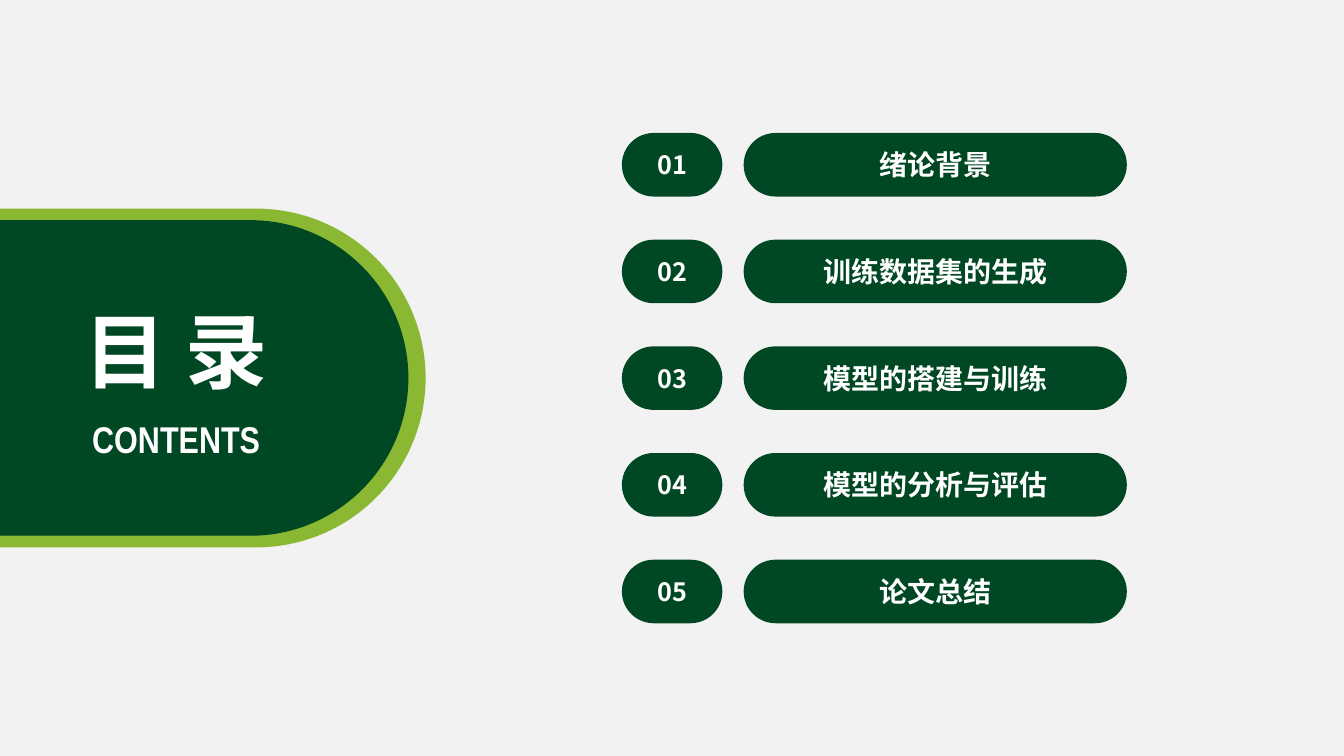
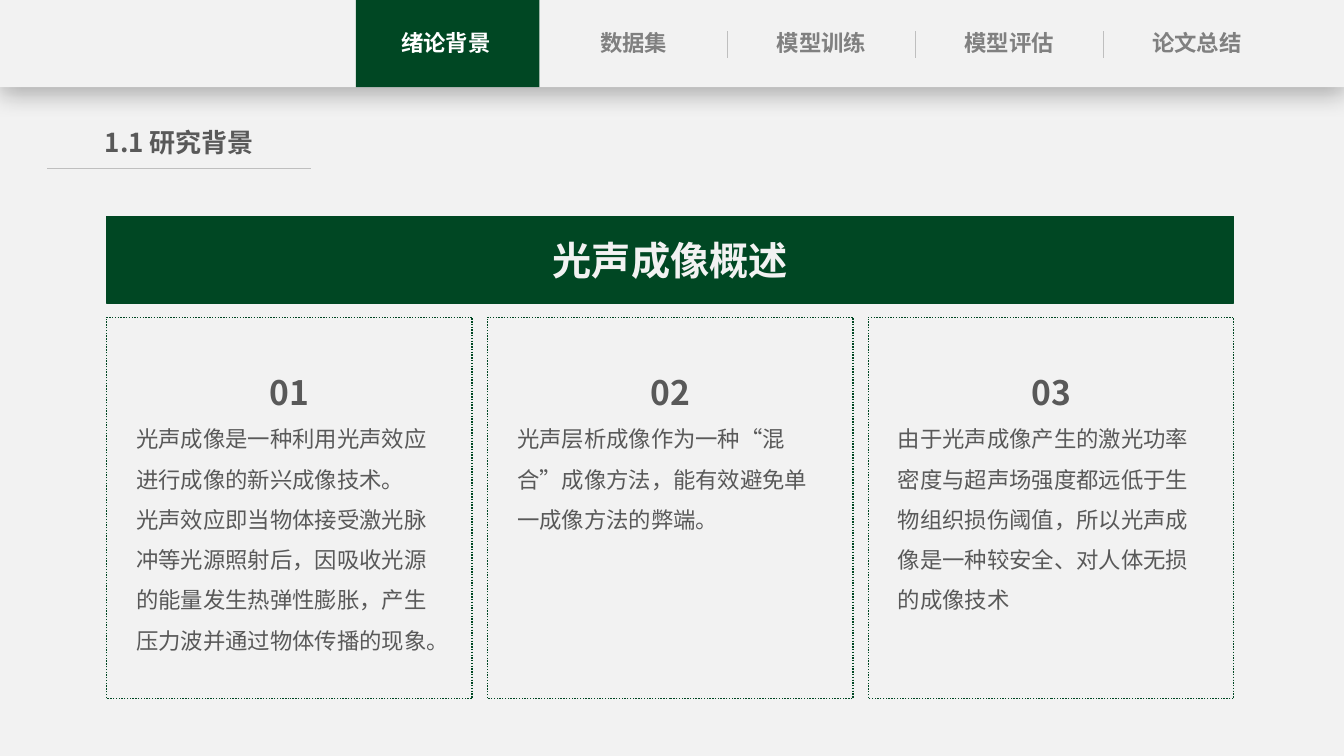
from lxml import etree
from pptx import Presentation
from pptx.dml.color import RGBColor
from pptx.enum import dml, shapes, text
from pptx.oxml import ns
from pptx.util import Pt

GREEN = RGBColor(0x00, 0x47, 0x23)
LIME = RGBColor(0x8A, 0xB8, 0x33)
PAPER = RGBColor(0xF2, 0xF2, 0xF2)
WHITE = RGBColor(0xFF, 0xFF, 0xFF)
RULE = RGBColor(0xBF, 0xBF, 0xBF)
MUTED = RGBColor(0x80, 0x80, 0x80)
INK = RGBColor(0x59, 0x59, 0x59)

CJK = "Noto Sans CJK SC"
LATIN = "Arial Narrow"
WIDTH, HEIGHT = 960, 540

CENTER, LEFT = text.PP_ALIGN.CENTER, text.PP_ALIGN.LEFT
RECT = shapes.MSO_SHAPE.RECTANGLE
PILL = shapes.MSO_SHAPE.ROUNDED_RECTANGLE

CONTENTS = ["绪论背景", "训练数据集的生成", "模型的搭建与训练", "模型的分析与评估", "论文总结"]
TABS = ["绪论背景", "数据集", "模型训练", "模型评估", "论文总结"]
CARDS = [
    ["光声成像是一种利用光声效应进行成像的新兴成像技术。",
     "光声效应即当物体接受激光脉冲等光源照射后，因吸收光源的能量发生热弹性膨胀，产生压力波并通过物体传播的现象。"],
    ["光声层析成像作为一种“混合”成像方法，能有效避免单一成像方法的弊端。"],
    ["由于光声成像产生的激光功率密度与超声场强度都远低于生物组织损伤阈值，所以光声成像是一种较安全、对人体无损的成像技术"],
]


def write(paragraph, words, size, color, bold=True, align=CENTER, font=CJK):
    paragraph.alignment = align
    run = paragraph.add_run()
    run.text = words
    run.font.size = Pt(size)
    run.font.bold = bold
    run.font.name = font
    run.font.color.rgb = color
    east_asian = etree.SubElement(run.font._element, ns.qn("a:ea"))
    east_asian.set("typeface", font)


def add_block(slide, box, fill=None, preset=RECT, outline=None):
    block = slide.shapes.add_shape(preset, *map(Pt, box))
    block.shadow.inherit = False
    if preset == PILL:
        block.adjustments[0] = 0.5
    if fill is None:
        block.fill.background()
    else:
        block.fill.solid()
        block.fill.fore_color.rgb = fill
    if outline is None:
        block.line.fill.background()
    else:
        block.line.color.rgb = outline
        block.line.width = Pt(1)
    return block


def label(block, words, size, color):
    frame = block.text_frame
    frame.vertical_anchor = text.MSO_ANCHOR.MIDDLE
    write(frame.paragraphs[0], words, size, color)


def add_frame(slide, box, wrap=True, side=0, edge=3.6):
    """Add an empty text box and return its text frame."""
    frame = slide.shapes.add_textbox(*map(Pt, box)).text_frame
    frame.word_wrap = wrap
    frame.margin_left = frame.margin_right = Pt(side)
    frame.margin_top = frame.margin_bottom = Pt(edge)
    return frame


def add_rule(slide, x1, y1, x2, y2):
    rule = slide.shapes.add_connector(
        shapes.MSO_CONNECTOR.STRAIGHT, Pt(x1), Pt(y1), Pt(x2), Pt(y2))
    rule.line.color.rgb = RULE
    rule.line.width = Pt(0.5)
    etree.SubElement(rule._element.spPr, ns.qn("a:effectLst"))


def drop_shadow(block):
    """Cast a soft shadow straight down from the block."""
    effects = block._element.spPr.find(ns.qn("a:effectLst"))
    shadow = etree.SubElement(
        effects, ns.qn("a:outerShdw"), blurRad=str(Pt(18)), dist=str(Pt(4)),
        dir="5400000", algn="t", rotWithShape="0")
    color = etree.SubElement(shadow, ns.qn("a:srgbClr"), val="000000")
    etree.SubElement(color, ns.qn("a:alpha"), val="29000")


def contents_badge(slide, left, top, width, height):
    add_block(slide, (left, top, width, height), LIME, PILL)
    add_block(slide, (left + 18.7, top + 8.3, width - 31, height - 16.6), GREEN, PILL)
    caption = add_frame(slide, (44.6, top + 144.8, 162.7, 39.6), wrap=False, side=7.2)
    write(caption.paragraphs[0], "CONTENTS", 26.6, WHITE, font=LATIN)
    heading = add_frame(slide, (50.4, top + 62, 150.5, 78.5), wrap=False, side=7.2)
    write(heading.paragraphs[0], "目 录", 58.6, WHITE)


def contents_list(slide, left, top, pitch):
    for index, chapter in enumerate(CONTENTS):
        y = top + index * pitch
        number = add_block(slide, (left, y, 71.8, 45.4), GREEN, PILL)
        label(number, f"{index + 1:02}", 18, WHITE)
        title = add_block(slide, (left + 87, y, 273.7, 45.4), GREEN, PILL)
        label(title, chapter, 20, WHITE)


def navigation(slide, active, height=62.3):
    """Draw the top bar with one tab for each chapter."""
    first, pitch, inset = 251.5, 134.1, 14.1
    drop_shadow(add_block(slide, (0, 0, WIDTH, height), PAPER))
    for index, chapter in enumerate(TABS):
        x = first + index * pitch
        if index == active:
            add_block(slide, (x + 2.7, 0, 131.2, height), GREEN)
        elif index != active + 1 and index > 0:
            add_rule(slide, x, 22.3, x, 41.5)
        tab = add_frame(slide, (x + inset, 17.3, pitch - 2 * inset, 27))
        write(tab.paragraphs[0], chapter, 16, WHITE if index == active else MUTED)


def section_title(slide, words, left, top, width):
    frame = add_frame(slide, (left + 30.3, top, width - 60.6, 30))
    write(frame.paragraphs[0], words, 18.6, INK)
    add_rule(slide, left, top + 33.1, left + width, top + 33.1)


def card(slide, number, body, left, top, width, height):
    border = add_block(slide, (left, top, width, height), outline=GREEN)
    border.line.dash_style = dml.MSO_LINE.ROUND_DOT
    frame = add_frame(slide, (left + 21.2, top + 24.5, 218.9, height - 54), edge=0)
    write(frame.paragraphs[0], number, 24, INK)
    for words in body:
        write(frame.add_paragraph(), words, 16, INK, bold=False, align=LEFT)
    for paragraph in frame.paragraphs:
        paragraph.line_spacing = 1.5


def overview(slide, left, top, width, height):
    """Draw the banner with a row of equal cards under it."""
    banner_height, gap = 62, 11
    banner = add_block(slide, (left, top, width, banner_height), GREEN, outline=GREEN)
    label(banner, "光声成像概述", 28, PAPER)
    card_width = (width - gap * (len(CARDS) - 1)) / len(CARDS)
    card_top = top + banner_height + 10
    for index, body in enumerate(CARDS):
        card(slide, f"{index + 1:02}", body, left + index * (card_width + gap),
             card_top, card_width, top + height - card_top)


def contents_slide(slide):
    contents_badge(slide, -141, 149, 445, 242)
    contents_list(slide, 444.2, 95, 76.2)


def background_slide(slide):
    navigation(slide, active=0)
    section_title(slide, "1.1 研究背景", 33.8, 87.1, 188.6)
    overview(slide, 76.2, 154.6, 805, 344.4)


def main():
    deck = Presentation()
    deck.slide_width, deck.slide_height = Pt(WIDTH), Pt(HEIGHT)
    paper = deck.slide_master.background.fill
    paper.solid()
    paper.fore_color.rgb = PAPER
    for build in (contents_slide, background_slide):
        build(deck.slides.add_slide(deck.slide_layouts[6]))
    deck.save("out.pptx")


if __name__ == "__main__":
    main()
